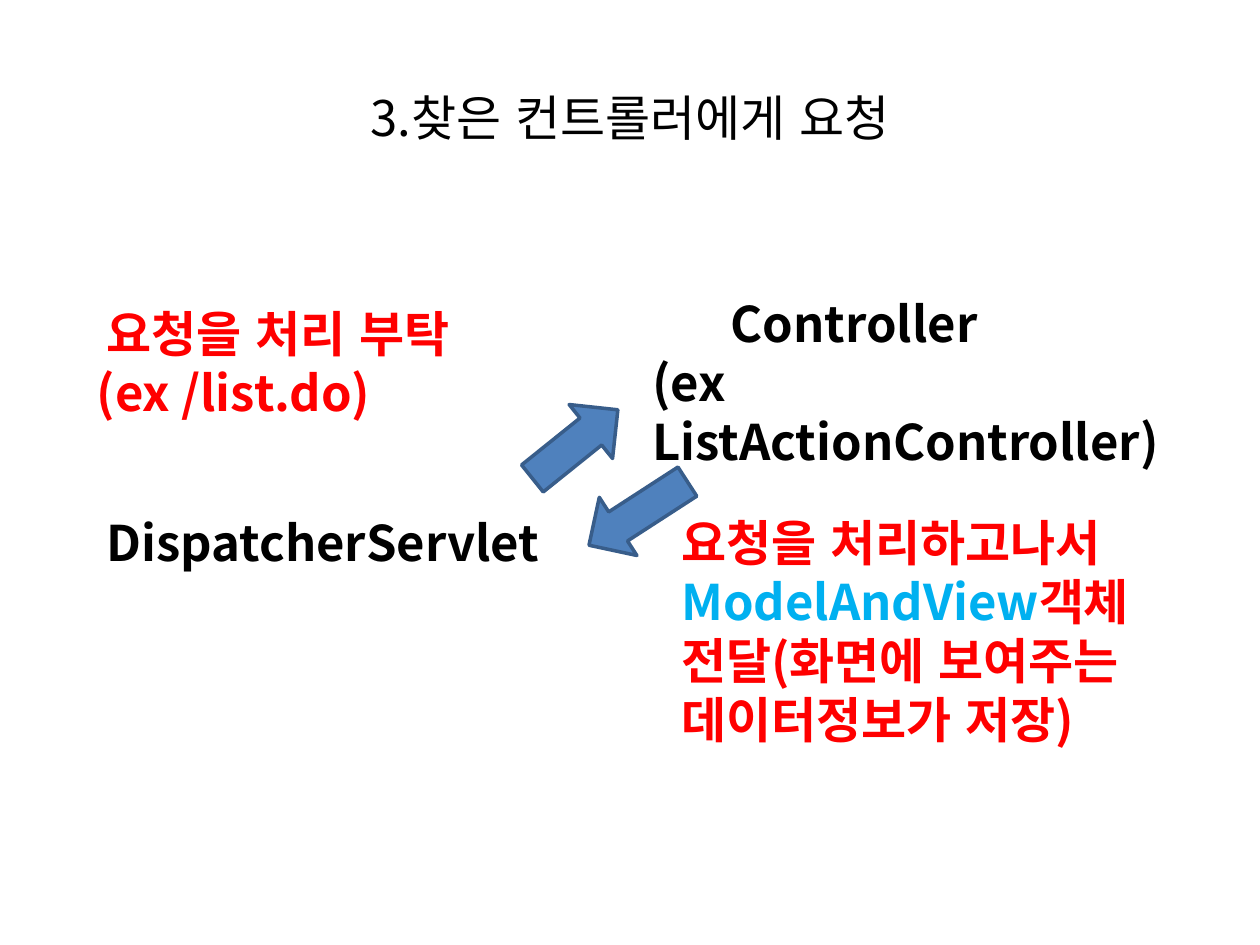
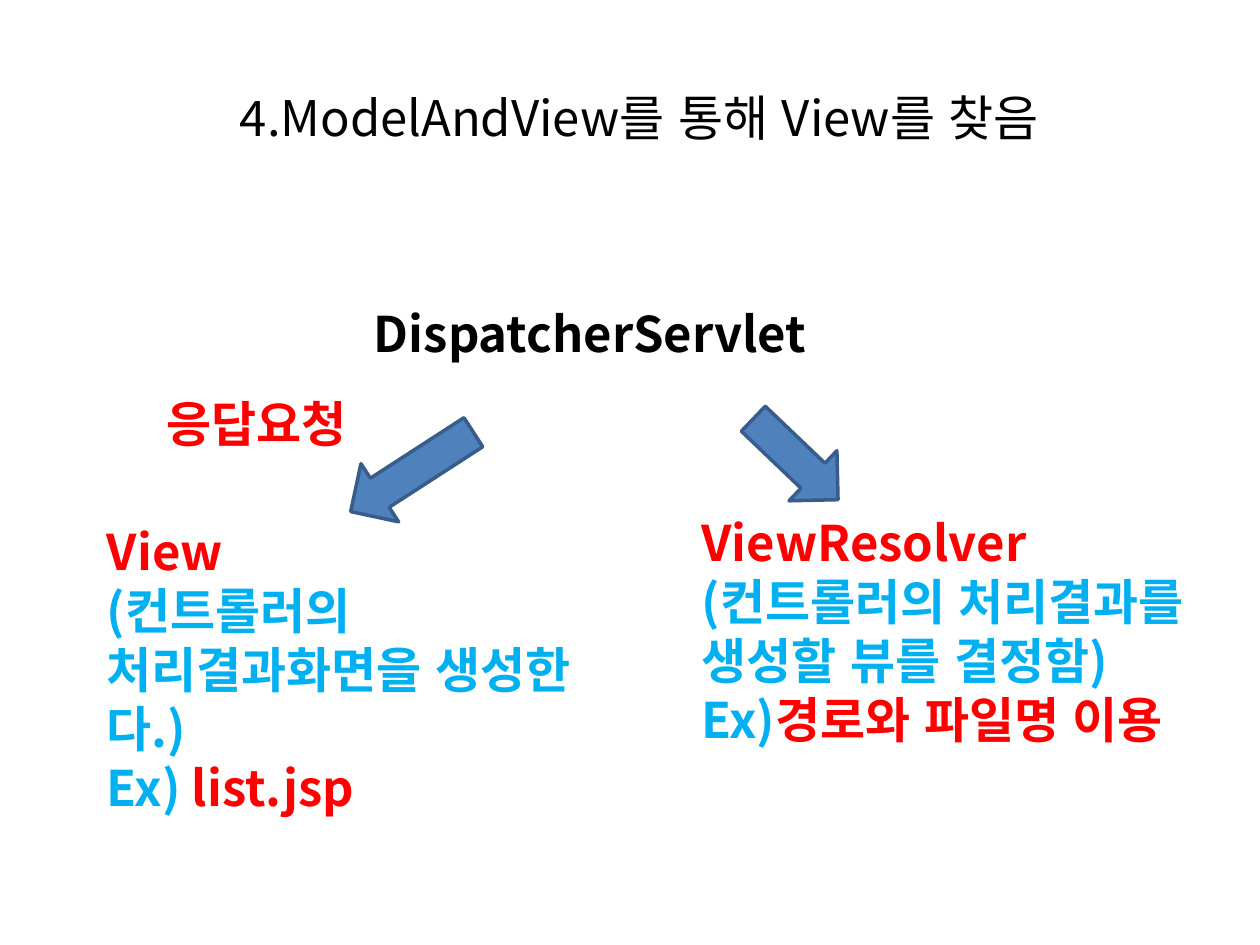
from dataclasses import dataclass

from lxml.etree import SubElement
from pptx import Presentation
from pptx.dml.color import RGBColor
from pptx.enum.lang import MSO_LANGUAGE_ID as Lang
from pptx.enum.shapes import MSO_SHAPE as Preset
from pptx.enum.text import MSO_ANCHOR as Anchor, MSO_AUTO_SIZE as AutoSize, PP_ALIGN as Align
from pptx.oxml.ns import qn
from pptx.util import Inches, Pt


@dataclass(frozen=True)
class Theme:
    font: str = "Noto Sans CJK KR"
    size: float = 28
    line_pitch: float = 33.7
    black: str = "000000"
    red: str = "FF0000"
    sky: str = "00B0F0"
    arrow: str = "4F81BD"
    arrow_edge: str = "385D8A"
    arrow_edge_width: float = 2


theme = Theme()


def add_run(paragraph, words, color, bold):
    run = paragraph.add_run()
    run.text = words
    run.font.name = theme.font
    run.font.size = Pt(theme.size)
    run.font.bold = bold
    run.font.color.rgb = RGBColor.from_string(color)
    run.font.language_id = Lang.KOREAN
    east_asian = SubElement(run.font._element, qn("a:ea"))
    east_asian.set("typeface", theme.font)


dispatcher = [(0, [("DispatcherServlet", theme.black)])]

steps = [
    {
        "title": "3.찾은 컨트롤러에게 요청",
        "title_box": (0.5, 0.3, 9, 1.25),
        "labels": [
            ((0.75, 3.99, 3.7, 0.57), dispatcher),
            ((5.08, 2.25, 4.65, 1.5), [
                (0.62, [("Controller", theme.black)]),
                (0, [("(ex ListActionController)", theme.black)]),
            ]),
            ((5.31, 3.99, 4.25, 1.97), [
                (0, [("요청을 처리하고나서", theme.red)]),
                (0, [("ModelAndView", theme.sky), ("객체", theme.red)]),
                (0, [("전달(화면에 보여주는", theme.red)]),
                (0, [("데이터정보가 저장)", theme.red)]),
            ]),
            ((0.67, 2.33, 3.62, 1.04), [
                (0.08, [("요청을 처리 부탁", theme.red)]),
                (0, [("(ex /list.do)", theme.red)]),
            ]),
        ],
        "arrows": [
            ((4.13, 3.25, 0.87, 0.55), 321.2),
            ((4.6, 3.8, 0.93, 0.55), 147.1),
        ],
    },
    {
        "title": "4.ModelAndView를 통해 View를 찾음",
        "title_box": (0.27, 0.3, 9.61, 1.25),
        "labels": [
            ((2.87, 2.33, 3.7, 0.57), dispatcher),
            ((5.47, 3.99, 4.25, 1.97), [
                (0, [("ViewResolver", theme.red)]),
                (0, [("(컨트롤러의 처리결과를 생성할 뷰를 결정함)", theme.sky)]),
                (0, [("Ex)", theme.sky), ("경로와 파일명 이용", theme.red)]),
            ]),
            ((0.75, 4.06, 4.25, 2.44), [
                (0, [("View", theme.red)]),
                (0, [("(컨트롤러의 처리결과화면을 생성한다.)", theme.sky)]),
                (0, [("Ex) ", theme.sky), ("list.jsp", theme.red)]),
            ]),
            ((1.14, 3.04, 2.68, 0.57), [(0.08, [("응답요청", theme.red)])]),
        ],
        "arrows": [
            ((2.69, 3.47, 1.16, 0.55), 147.1),
            ((5.85, 3.37, 0.93, 0.55), 43.7),
        ],
    },
]

deck = Presentation()
deck.slide_width = Inches(10)
deck.slide_height = Inches(7.5)
title_only = deck.slide_layouts[5]

for step in steps:
    slide = deck.slides.add_slide(title_only)
    title = slide.shapes.title
    title.left, title.top, title.width, title.height = map(Inches, step["title_box"])
    title.text_frame.vertical_anchor = Anchor.MIDDLE
    heading = title.text_frame.paragraphs[0]
    heading.alignment = Align.CENTER
    add_run(heading, step["title"], theme.black, False)

    for box, lines in step["labels"]:
        frame = slide.shapes.add_textbox(*map(Inches, box)).text_frame
        frame.word_wrap = True
        frame.auto_size = AutoSize.SHAPE_TO_FIT_TEXT
        frame.margin_top = Inches(0.08)
        frame.margin_bottom = Inches(0.02)
        for index, (indent, runs) in enumerate(lines):
            line = frame.add_paragraph() if index else frame.paragraphs[0]
            line.line_spacing = Pt(theme.line_pitch)
            if indent:
                line._p.get_or_add_pPr().set("indent", str(Inches(indent)))
            for words, color in runs:
                add_run(line, words, color, True)

    for box, angle in step["arrows"]:
        arrow = slide.shapes.add_shape(Preset.RIGHT_ARROW, *map(Inches, box))
        arrow.rotation = angle
        arrow.shadow.inherit = False
        arrow.fill.solid()
        arrow.fill.fore_color.rgb = RGBColor.from_string(theme.arrow)
        arrow.line.color.rgb = RGBColor.from_string(theme.arrow_edge)
        arrow.line.width = Pt(theme.arrow_edge_width)

deck.save("out.pptx")
